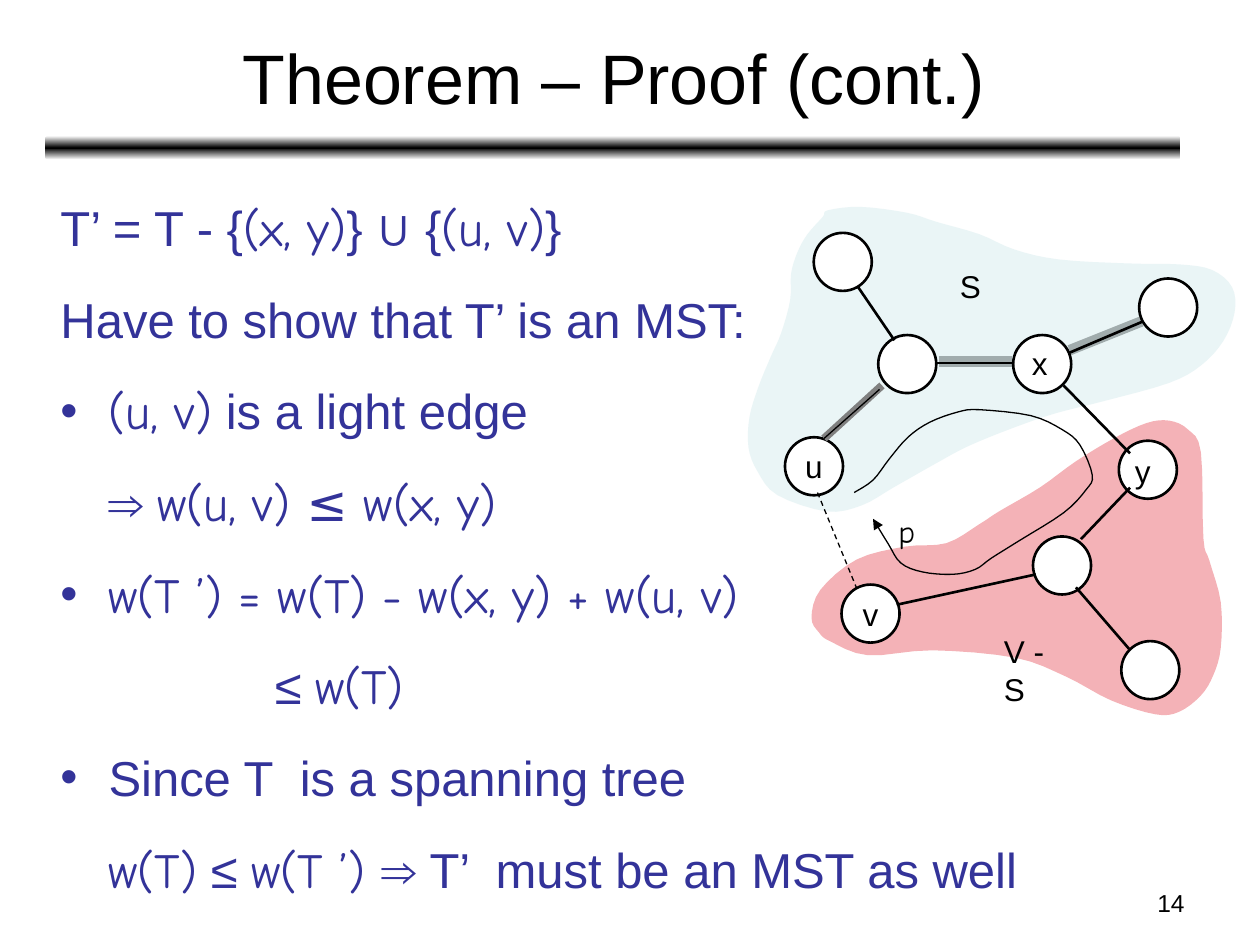
from copy import deepcopy
from dataclasses import dataclass

from lxml import etree
from pptx import Presentation
from pptx.dml.color import RGBColor
from pptx.enum.dml import MSO_LINE
from pptx.enum.shapes import MSO_CONNECTOR, MSO_SHAPE
from pptx.enum.text import MSO_ANCHOR, PP_ALIGN
from pptx.oxml.ns import qn
from pptx.util import Cm, Pt

STRAIGHT = MSO_CONNECTOR.STRAIGHT
OVAL = MSO_SHAPE.OVAL
ROUNDED = MSO_SHAPE.ROUNDED_RECTANGLE
DASH = MSO_LINE.DASH
MIDDLE = MSO_ANCHOR.MIDDLE
LEFT, CENTER, RIGHT = PP_ALIGN.LEFT, PP_ALIGN.CENTER, PP_ALIGN.RIGHT

COLORS = {"black": "000000", "white": "FFFFFF", "text": "333399", "tree": "969696",
          "light edge": "808080", "S": "BBE0E3", "V - S": "DD0111"}
SANS, COMIC = "Arial", "Comic Neue"
NODE_SIZE = 1.17
HANGING = 0.97
Point = tuple[float, float]


@dataclass
class Line:
    text: str  # "|" switches between the two fonts, starting with SANS
    margin: float = 0
    bullet: bool = False


@dataclass
class Node:
    x: float
    y: float
    label: str = ""


@dataclass
class Edge:
    start: Point
    end: Point
    width: float = 1.5
    color: str = "black"
    dashed: bool = False


@dataclass
class Label:
    text: str
    left: float
    top: float
    width: float
    font: str = SANS


LINES = [
    Line("T’ = T - {|(x, y)|} ∪ {|(u, v)|}"),
    Line("Have to show that T’ is an MST:"),
    Line("|(u, v)| is a light edge", HANGING, True),
    Line("⇒ |w(u, v) ≤ w(x, y)", HANGING),
    Line("|w(T ’) = w(T) - w(x, y) + w(u, v)", HANGING, True),
    Line("≤ |w(T)", 4.32),
    Line("Since T  is a spanning tree", HANGING, True),
    Line("|w(T)| ≤ |w(T ’) |⇒ T’  must be an MST as well", HANGING),
]
# Node centres
NODES = [Node(16.41, 9.4, "u"), Node(18.29, 7.34), Node(21.01, 7.34), Node(23.55, 6.2),
         Node(23.14, 9.47), Node(16.99, 5.28), Node(21.41, 11.4), Node(23.19, 13.51),
         Node(17.55, 12.37, "v")]
TREE_EDGES = [Edge((18.92, 7.29), (20.4, 7.29), 6, "tree"),
              Edge((21.56, 7.06), (23.01, 6.48), 6, "tree")]
EDGES = [
    Edge((18.87, 7.32), (20.4, 7.32)), Edge((17.3, 5.79), (18.03, 6.86)),
    Edge((21.56, 7.11), (23.04, 6.48)), Edge((21.44, 7.77), (22.78, 9.14)),
    Edge((18.08, 12.19), (20.88, 11.58)), Edge((21.79, 10.87), (22.78, 9.83)),
    Edge((21.69, 11.84), (22.76, 13.08)),
    Edge((16.48, 9.93), (17.27, 11.86), 0.75, dashed=True),
    Edge((17.78, 7.77), (16.61, 8.84), 4.5, "light edge"),
    Edge((16.61, 8.84), (17.73, 7.85), 0.75),
]
LABELS = [Label("S", 19.1, 5.26, 0.91), Label("V - S", 19.99, 12.62, 1.91),
          Label("x", 20.55, 6.81, 0.81), Label("y", 22.63, 8.99, 0.81),
          Label("p", 17.86, 10.19, 0.84, COMIC)]
LOWER_SET = [
    (19.08, 10.95), (18.24, 11.02), (17.27, 11.28), (16.54, 11.89), (16.36, 12.45),
    (16.51, 12.75), (16.74, 12.93), (17.5, 13.21), (18.8, 13.11), (20.47, 13.26),
    (21.49, 13.64), (22.4, 14.12), (23.29, 14.4), (23.77, 14.35), (24.21, 14.02),
    (24.46, 13.61), (24.61, 13.06), (24.61, 12.14), (24.38, 11.3), (24.26, 10.85),
    (24.21, 9.12), (23.95, 8.66), (23.57, 8.48), (23.11, 8.53), (22.45, 8.84),
    (21.69, 9.3), (20.96, 9.83), (20.14, 10.31), (19.74, 10.57)]
UPPER_SET = [
    (16.59, 4.37), (16.28, 4.72), (16.08, 5.08), (15.95, 5.51), (15.93, 6.05),
    (15.75, 6.71), (15.54, 7.19), (15.29, 7.8), (15.11, 8.41), (15.09, 9.02),
    (15.27, 9.5), (15.67, 9.98), (16.66, 10.31), (17.37, 10.19), (18.01, 9.83),
    (18.82, 9.37), (19.53, 8.99), (20.47, 8.61), (21.29, 8.33), (22.28, 8.08),
    (23.57, 7.72), (24.21, 7.37), (24.66, 6.88), (24.89, 6.3), (24.84, 5.79),
    (24.43, 5.44), (23.77, 5.33), (22.71, 5.31), (21.34, 5.23), (20.45, 5.03),
    (19.74, 4.72), (18.87, 4.47), (18.29, 4.29), (17.35, 4.17), (16.69, 4.24)]
PATH = [
    (17.22, 9.93), (17.6, 9.68), (17.93, 9.25), (18.31, 8.81), (18.75, 8.51), (19.3, 8.31),
    (19.74, 8.26), (20.78, 8.38), (21.41, 8.66), (21.77, 8.97), (22.02, 9.58), (21.89, 9.88),
    (21.44, 10.34), (20.55, 10.9), (19.99, 11.25), (19.66, 11.48), (19.2, 11.58),
    (18.59, 11.53), (18.16, 11.35), (17.91, 10.97), (17.6, 10.46)]


def rgb(name: str) -> RGBColor:
    return RGBColor.from_string(COLORS[name])


def format_font(font, size: float, color: str = "black", name: str = SANS) -> None:
    font.size, font.name, font.color.rgb = Pt(size), name, rgb(color)


def smooth(points: list[Point], closed: bool, steps: int = 4) -> list[Point]:
    """Sample a Catmull-Rom curve through the points."""
    if closed:
        around = [points[-1], *points, *points[:2]]
    else:
        around = [points[0], *points, points[-1]]
    curve = []
    for a, b, c, d in zip(around, around[1:], around[2:], around[3:]):
        for step in range(steps):
            t = step / steps
            curve.append(tuple(
                q + t * (r - p) / 2 + t**2 * (2 * p - 5 * q + 4 * r - s) / 2
                + t**3 * (3 * q - p - 3 * r + s) / 2
                for p, q, r, s in zip(a, b, c, d)))
    return curve if closed else [*curve, points[-1]]


def add_curve(slide, points: list[Point], closed: bool):
    first, *rest = [(Cm(x), Cm(y)) for x, y in smooth(points, closed)]
    builder = slide.shapes.build_freeform(*first)
    builder.add_line_segments(rest, close=closed)
    shape = builder.convert_to_shape()
    shape.shadow.inherit = False
    return shape


def add_region(slide, points: list[Point], color: str) -> None:
    shape = add_curve(slide, points, True)
    shape.fill.solid()
    shape.fill.fore_color.rgb = rgb(color)
    shape.line.fill.background()
    solid = shape.fill._xPr.find(qn("a:solidFill"))
    etree.SubElement(solid[0], qn("a:alpha"), val="30000")


def add_path(slide, points: list[Point]) -> None:
    shape = add_curve(slide, points, False)
    shape.fill.background()
    shape.line.color.rgb, shape.line.width = rgb("black"), Pt(0.75)
    etree.SubElement(shape.line._get_or_add_ln(), qn("a:tailEnd"), type="triangle")


def add_edge(slide, edge: Edge) -> None:
    connector = slide.shapes.add_connector(
        STRAIGHT, *(Cm(value) for value in edge.start + edge.end))
    connector.line.color.rgb, connector.line.width = rgb(edge.color), Pt(edge.width)
    if edge.dashed:
        connector.line.dash_style = DASH
    etree.SubElement(connector._element.spPr, qn("a:effectLst"))


def add_node(slide, node: Node) -> None:
    shape = slide.shapes.add_shape(OVAL, Cm(node.x - NODE_SIZE / 2), Cm(node.y - NODE_SIZE / 2),
                                   Cm(NODE_SIZE), Cm(NODE_SIZE))
    shape.shadow.inherit = False
    shape.fill.solid()
    shape.fill.fore_color.rgb = rgb("white")
    shape.line.color.rgb, shape.line.width = rgb("black"), Pt(1.5)
    if node.label:
        shape.text_frame.text = node.label
        shape.text_frame.word_wrap = False
        shape.text_frame.vertical_anchor = MIDDLE
        paragraph = shape.text_frame.paragraphs[0]
        paragraph.alignment = CENTER
        format_font(paragraph.runs[0].font, 18)


def add_label(slide, label: Label, size: float = 18, height: float = 1.02, align=LEFT) -> None:
    box = slide.shapes.add_textbox(Cm(label.left), Cm(label.top), Cm(label.width), Cm(height))
    box.text_frame.text = label.text
    box.text_frame.word_wrap = align == RIGHT
    paragraph = box.text_frame.paragraphs[0]
    paragraph.alignment = align
    format_font(paragraph.runs[0].font, size, name=label.font)


def add_proof(slide) -> None:
    frame = slide.shapes.add_textbox(Cm(0.97), Cm(3.5), Cm(22.86), Cm(14.9)).text_frame
    frame.word_wrap = True
    for index, line in enumerate(LINES):
        paragraph = frame.paragraphs[0] if index == 0 else frame.add_paragraph()
        paragraph.line_spacing = 1.3
        if index:
            paragraph.space_before = Pt(8.7)
        properties = paragraph._p.get_or_add_pPr()
        properties.set("marL", str(Cm(line.margin)))
        if line.bullet:
            properties.set("indent", str(-Cm(HANGING)))
            etree.SubElement(properties, qn("a:buFont"), typeface=SANS)
            etree.SubElement(properties, qn("a:buChar"), char="•")
        for number, part in enumerate(line.text.split("|")):
            if part:
                run = paragraph.add_run()
                run.text = part
                format_font(run.font, 28, "text", COMIC if number % 2 else SANS)


def add_title(slide, text: str) -> None:
    title = slide.shapes.title
    title.left, title.top, title.width, title.height = Cm(0.94), Cm(0.28), Cm(22.86), Cm(2.51)
    title.text_frame.text = text
    title.text_frame.vertical_anchor = MIDDLE
    paragraph = title.text_frame.paragraphs[0]
    paragraph.alignment = CENTER
    format_font(paragraph.runs[0].font, 40)


def add_rule(slide) -> None:
    rule = slide.shapes.add_shape(ROUNDED, Cm(0.91), Cm(2.74), Cm(22.89), Cm(0.48))
    rule.shadow.inherit = False
    rule.line.fill.background()
    rule.fill.gradient()
    rule.fill.gradient_angle = 90
    stops = rule.fill._xPr.find(qn("a:gradFill")).find(qn("a:gsLst"))
    stops.insert(1, deepcopy(stops[0]))
    for stop, position, color in zip(rule.fill.gradient_stops, (0, 0.5, 1),
                                     ("white", "black", "white")):
        stop.position, stop.color.rgb = position, rgb(color)


def main() -> None:
    presentation = Presentation()
    presentation.slide_width, presentation.slide_height = Cm(25.4), Cm(19.05)
    slide = presentation.slides.add_slide(presentation.slide_layouts[5])
    # Heading, page number and proof
    add_rule(slide)
    add_title(slide, "Theorem – Proof (cont.)")
    add_label(slide, Label("14", 18.21, 17.78, 5.92), 14, 0.89, RIGHT)
    add_proof(slide)
    # Graph with its cut
    add_region(slide, LOWER_SET, "V - S")
    for edge in TREE_EDGES:
        add_edge(slide, edge)
    add_region(slide, UPPER_SET, "S")
    for node in NODES:
        add_node(slide, node)
    for edge in EDGES:
        add_edge(slide, edge)
    add_path(slide, PATH)
    for label in LABELS:
        add_label(slide, label)
    presentation.save("out.pptx")


if __name__ == "__main__":
    main()
